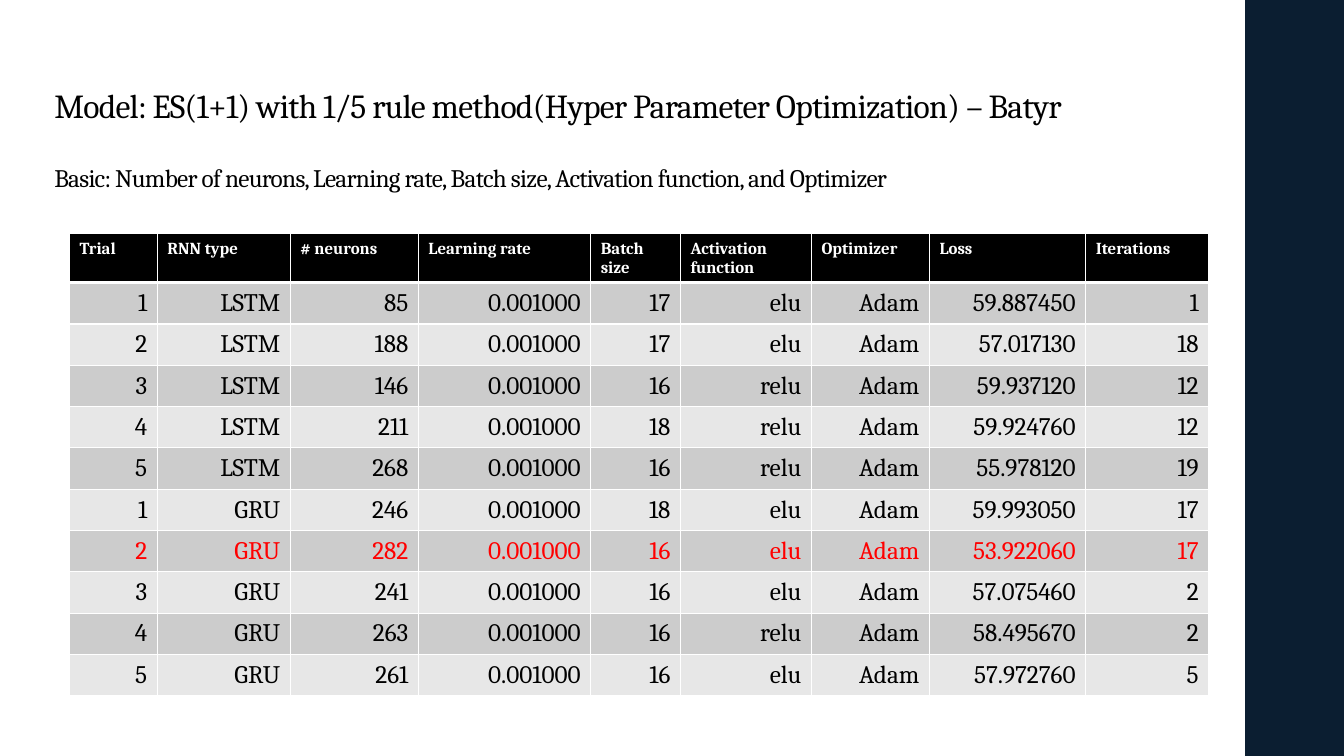
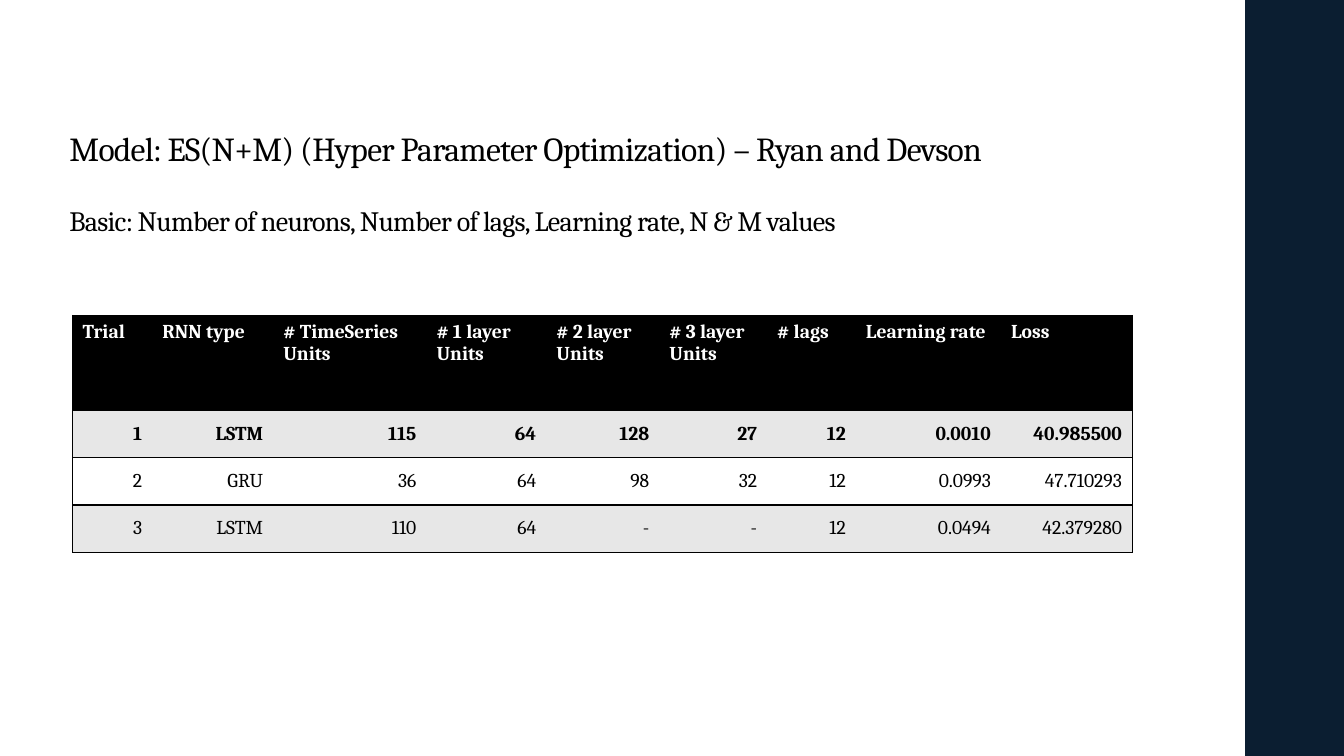
from dataclasses import dataclass

from lxml.etree import SubElement
from pptx import Presentation
from pptx.dml.color import RGBColor
from pptx.enum.shapes import MSO_SHAPE as Shape
from pptx.enum.text import MSO_ANCHOR as Anchor, PP_ALIGN as Align
from pptx.oxml.ns import qn
from pptx.util import Inches, Pt

FONT = "Cambria"
BLACK, WHITE, RED, NAVY = "000000", "FFFFFF", "FF0000", "0B1E31"
DARK_GREY, LIGHT_GREY = "CCCCCC", "E7E7E7"
PLAIN_TABLE = "{2D5ABB26-0587-4C30-8999-92F81FD0307C}"

ES_ONE_COLUMNS = {
    "Trial": 0.87, "RNN type": 1.32, "# neurons": 1.27,
    "Learning rate": 1.71, "Batch size": 0.89, "Activation function": 1.3,
    "Optimizer": 1.17, "Loss": 1.55, "Iterations": 1.22,
}
ES_ONE_TRIALS = [
    "1 LSTM 85 0.001000 17 elu Adam 59.887450 1",
    "2 LSTM 188 0.001000 17 elu Adam 57.017130 18",
    "3 LSTM 146 0.001000 16 relu Adam 59.937120 12",
    "4 LSTM 211 0.001000 18 relu Adam 59.924760 12",
    "5 LSTM 268 0.001000 16 relu Adam 55.978120 19",
    "1 GRU 246 0.001000 18 elu Adam 59.993050 17",
    "2 GRU 282 0.001000 16 elu Adam 53.922060 17",
    "3 GRU 241 0.001000 16 elu Adam 57.075460 2",
    "4 GRU 263 0.001000 16 relu Adam 58.495670 2",
    "5 GRU 261 0.001000 16 elu Adam 57.972760 5",
]
ES_MANY_COLUMNS = {
    "Trial": 0.79, "RNN type": 1.2, "# TimeSeries Units": 1.52,
    "# 1 layer Units": 1.19, "# 2 layer Units": 1.12,
    "# 3 layer Units": 1.07, "# lags": 0.88, "Learning rate": 1.44,
    "Loss": 1.3,
}
ES_MANY_TRIALS = [
    "1 LSTM 115 64 128 27 12 0.0010 40.985500",
    "2 GRU 36 64 98 32 12 0.0993 47.710293",
    "3 LSTM 110 64 - - 12 0.0494 42.379280",
]


@dataclass
class TableStyle:
    header_size: int
    body_size: int
    header_height: float
    row_height: float
    bands: tuple
    border: str
    header_rule: int
    inner_verticals: bool
    best_row: int
    best_color: str
    best_bold: bool


ES_ONE_STYLE = TableStyle(12, 18, 0.41, 0.41, (DARK_GREY, LIGHT_GREY),
                          WHITE, 3, True, 7, RED, False)
ES_MANY_STYLE = TableStyle(14, 14, 0.94, 0.47, (LIGHT_GREY, WHITE),
                           BLACK, 1, False, 1, BLACK, True)


def color(value):
    return RGBColor.from_string(value)


def format_text(paragraph, size, tone, bold=False):
    for span in paragraph.runs:
        span.font.name = FONT
        span.font.size = Pt(size)
        span.font.bold = bold
        span.font.color.rgb = color(tone)


def add_page(deck):
    page = deck.slides.add_slide(deck.slide_layouts[6])
    band = page.shapes.add_shape(Shape.RECTANGLE, Inches(12.35), 0,
                                 Inches(0.98), deck.slide_height)
    band.shadow.inherit = False
    band.fill.solid()
    band.fill.fore_color.rgb = color(NAVY)
    band.line.fill.background()
    return page


def add_heading(page, area, lines, sizes):
    box = page.shapes.add_textbox(*map(Inches, area))
    frame = box.text_frame
    frame.word_wrap = True
    frame.vertical_anchor = Anchor.BOTTOM
    frame.text = "\n".join(lines)
    for para, size in zip(frame.paragraphs, sizes):
        para.line_spacing = 0.9
        format_text(para, size, BLACK)
        for span in para.runs:
            span.font._element.set("spc", "-50")
    frame.paragraphs[-1].space_before = Pt(28)


def set_border(cell, side, tone, width):
    line = SubElement(cell._tc.get_or_add_tcPr(), qn(f"a:ln{side}"))
    if not width:
        SubElement(line, qn("a:noFill"))
        return
    line.set("w", str(Pt(width)))
    fill = SubElement(line, qn("a:solidFill"))
    SubElement(fill, qn("a:srgbClr")).set("val", tone)


def set_borders(cell, row, column, last_column, style):
    inner = int(style.inner_verticals)
    widths = {
        "L": 1 if column == 0 else inner,
        "R": 1 if column == last_column else inner,
        "T": style.header_rule if row == 1 else 1,
        "B": style.header_rule if row == 0 else 1,
    }
    for side, width in widths.items():
        set_border(cell, side, style.border, width)


def fill_cell(cell, text, row, style):
    cell.fill.solid()
    cell.text = text
    para = cell.text_frame.paragraphs[0]
    if row == 0:
        cell.fill.fore_color.rgb = color(BLACK)
        format_text(para, style.header_size, WHITE, True)
        return
    best = row == style.best_row
    cell.fill.fore_color.rgb = color(style.bands[(row - 1) % 2])
    cell.vertical_anchor = Anchor.MIDDLE
    para.alignment = Align.RIGHT
    format_text(para, style.body_size, style.best_color if best else BLACK,
                best and style.best_bold)


def add_trials(page, left, top, columns, trials, style):
    rows = [list(columns)] + [trial.split() for trial in trials]
    heights = [style.header_height] + [style.row_height] * len(trials)
    table = page.shapes.add_table(
        len(rows), len(columns), Inches(left), Inches(top),
        Inches(sum(columns.values())), Inches(sum(heights))).table
    table.first_row = table.horz_banding = False
    table._tbl.tblPr.find(qn("a:tableStyleId")).text = PLAIN_TABLE
    for column, width in zip(table.columns, columns.values()):
        column.width = Inches(width)
    for r, (values, height) in enumerate(zip(rows, heights)):
        table.rows[r].height = Inches(height)
        for c, text in enumerate(values):
            cell = table.cell(r, c)
            set_borders(cell, r, c, len(columns) - 1, style)
            fill_cell(cell, text, r, style)


def main():
    deck = Presentation()
    deck.slide_width, deck.slide_height = Inches(13.33), Inches(7.5)

    page = add_page(deck)
    add_trials(page, 0.69, 2.32, ES_ONE_COLUMNS, ES_ONE_TRIALS, ES_ONE_STYLE)
    add_heading(page, (0.44, 0.89, 11.78, 1.07), (
        "Model: ES(1+1) with 1/5 rule method(Hyper Parameter Optimization) – Batyr",
        "Basic: Number of neurons, Learning rate, Batch size, Activation function, and Optimizer",
    ), (24, 18))

    page = add_page(deck)
    add_heading(page, (0.59, 0.96, 11.46, 1.45), (
        "Model: ES(N+M) (Hyper Parameter Optimization) – Ryan and Devson",
        "Basic: Number of neurons, Number of lags, Learning rate, N & M values",
    ), (24, 20))
    add_trials(page, 0.72, 3.13, ES_MANY_COLUMNS, ES_MANY_TRIALS, ES_MANY_STYLE)

    deck.save("out.pptx")


if __name__ == "__main__":
    main()
